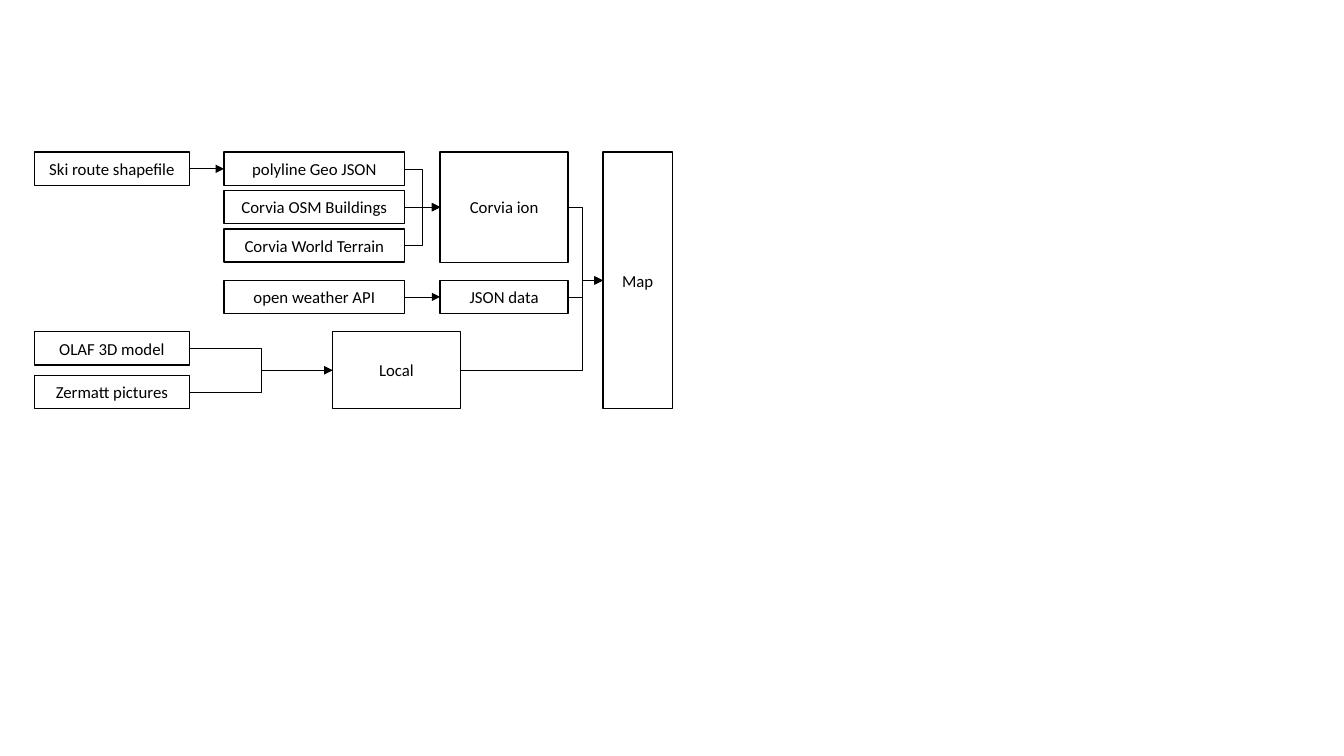
from lxml.etree import SubElement
from pptx import Presentation
from pptx.dml.color import RGBColor
from pptx.enum.shapes import MSO_CONNECTOR as LINK, MSO_SHAPE as SHAPE
from pptx.enum.text import MSO_ANCHOR as ANCHOR, PP_ALIGN as ALIGN
from pptx.oxml.ns import qn
from pptx.util import Pt


def color(value):
    return RGBColor.from_string(value)


def write(box, text, font="Calibri", size=12, fill="000000", align=ALIGN.CENTER):
    frame = box.text_frame
    frame.word_wrap = True
    frame.vertical_anchor = ANCHOR.MIDDLE
    frame.margin_left = frame.margin_right = Pt(4)
    frame.margin_top = frame.margin_bottom = 0
    para = frame.paragraphs[0]
    para.alignment = align
    span = para.add_run()
    span.text = text
    span.font.name = font
    span.font.size = Pt(size)
    span.font.color.rgb = color(fill)


deck = Presentation()
deck.slide_width, deck.slide_height = Pt(960), Pt(540)
page = deck.slides.add_slide(deck.slide_layouts[6])

top, step, height = 108.7, 27.4, 23.8
tall = 2 * step + height
source_left, source_width = 24.5, 111
layer_left, layer_width = 160, 129.2
service_left, service_width = 314.4, 91.5
weather_top, local_top, local_height = 200.2, 237, 55
pictures_top = local_top + local_height - height
map_bend = 416.2

nodes = {
    "ion": ("Corvia ion", service_left, top, service_width, tall),
    "route": ("Ski route shapefile", source_left, top, source_width, height),
    "polyline": ("polyline Geo JSON", layer_left, top, layer_width, height),
    "buildings": ("Corvia OSM Buildings", layer_left, top + step, layer_width, height),
    "terrain": ("Corvia World Terrain", layer_left, top + 2 * step, layer_width, height),
    "weather": ("open weather API", layer_left, weather_top, layer_width, height),
    "json": ("JSON data", service_left, weather_top, service_width, height),
    "map": ("Map", 430.6, top, 49.7, local_top + local_height - top),
    "local": ("Local", 237.5, local_top, service_width, local_height),
    "model": ("OLAF 3D model", source_left, local_top, source_width, height),
    "pictures": ("Zermatt pictures", source_left, pictures_top, source_width, height),
}
boxes = {}
for name, (text, *place) in nodes.items():
    box = page.shapes.add_shape(SHAPE.RECTANGLE, *map(Pt, place))
    box.shadow.inherit = False
    box.fill.solid()
    box.fill.fore_color.rgb = color("FFFFFF")
    box.line.color.rgb = color("000000")
    box.line.width = Pt(1)
    write(box, text)
    boxes[name] = box

flows = [
    ("route", "polyline", None),
    ("weather", "json", None),
    ("buildings", "ion", None),
    ("polyline", "ion", 302),
    ("terrain", "ion", 302),
    ("model", "local", 186.5),
    ("pictures", "local", 186.5),
    ("ion", "map", map_bend),
    ("json", "map", map_bend),
    ("local", "map", map_bend),
]
for start, end, bend in flows:
    kind = LINK.ELBOW if bend else LINK.STRAIGHT
    arrow = page.shapes.add_connector(kind, 0, 0, 0, 0)
    arrow.begin_connect(boxes[start], 3)
    arrow.end_connect(boxes[end], 1)
    arrow.line.color.rgb = color("000000")
    arrow.line.width = Pt(0.5)
    SubElement(arrow.line._get_or_add_ln(), qn("a:tailEnd"), type="triangle")
    shape_format = arrow._element.spPr
    SubElement(shape_format, qn("a:effectLst"))
    if bend:
        share = (Pt(bend) - arrow.begin_x) / (arrow.end_x - arrow.begin_x)
        guides = shape_format.find(qn("a:prstGeom")).get_or_add_avLst()
        SubElement(guides, qn("a:gd"), name="adj1", fmla=f"val {round(share * 100000)}")

deck.save("out.pptx")
